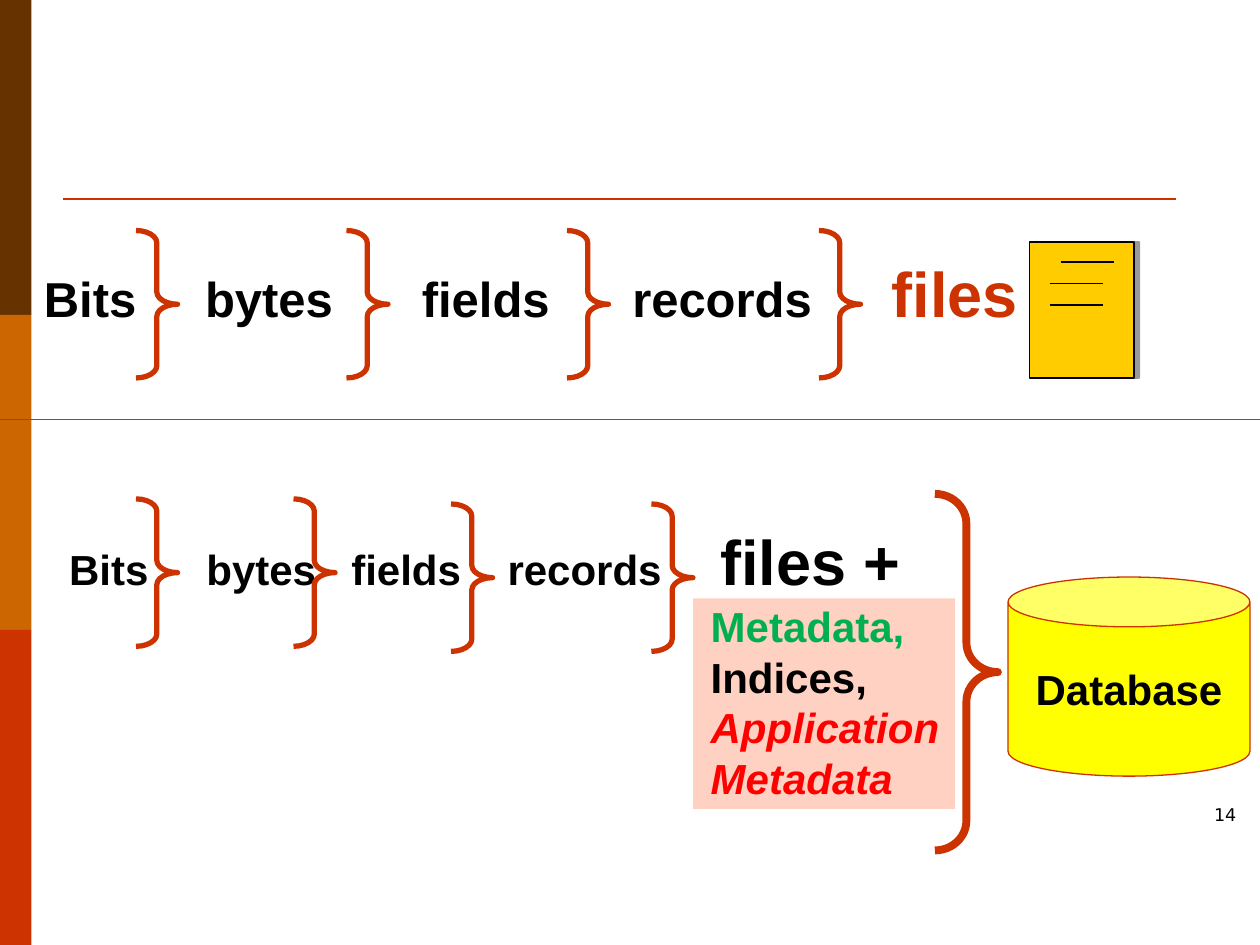
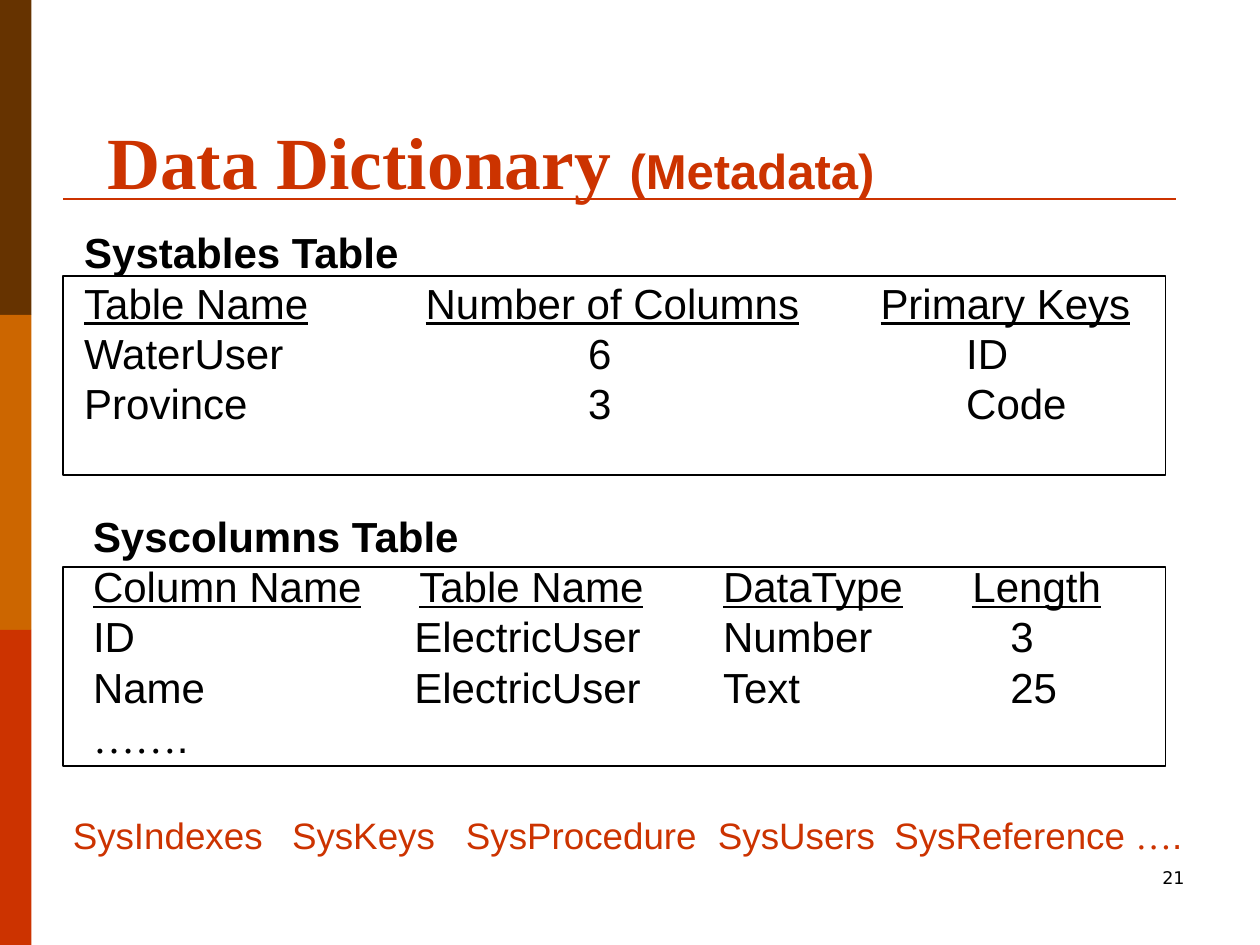
"""Builds two slides: the path from bits to a database, and the data dictionary."""
from lxml import etree
from pptx import Presentation
from pptx.dml.color import RGBColor
from pptx.enum.shapes import MSO_CONNECTOR, MSO_SHAPE
from pptx.enum.text import MSO_ANCHOR, MSO_AUTO_SIZE, PP_ALIGN
from pptx.oxml.ns import qn
from pptx.util import Inches, Pt

RECTANGLE, CAN, BRACE = MSO_SHAPE.RECTANGLE, MSO_SHAPE.CAN, MSO_SHAPE.RIGHT_BRACE
STRAIGHT = MSO_CONNECTOR.STRAIGHT
LEFT, CENTER, RIGHT = PP_ALIGN.LEFT, PP_ALIGN.CENTER, PP_ALIGN.RIGHT
TOP, MIDDLE, BOTTOM = MSO_ANCHOR.TOP, MSO_ANCHOR.MIDDLE, MSO_ANCHOR.BOTTOM
NO_AUTOFIT = MSO_AUTO_SIZE.NONE

BLACK = RGBColor(0x00, 0x00, 0x00)
BROWN = RGBColor(0x66, 0x33, 0x00)
ORANGE = RGBColor(0xCC, 0x66, 0x00)
RUST = RGBColor(0xCC, 0x33, 0x00)
PINK = RGBColor(0xFF, 0xD1, 0xC2)
YELLOW = RGBColor(0xFF, 0xFF, 0x00)
GOLD = RGBColor(0xFF, 0xCC, 0x00)
GREEN = RGBColor(0x00, 0xB0, 0x50)
RED = RGBColor(0xFF, 0x00, 0x00)

SANS, SERIF, NUMBER_FONT = "Arial", "Times New Roman", "DejaVu Sans"
WIDTH, HEIGHT = 10, 7.5
BANDS = [BROWN, ORANGE, RUST]


def style(size, color=BLACK, name=SANS, **flags):
    return dict(size=Pt(size), color=color, name=name, **flags)


BOLD = style(24, bold=True)
PLAIN = style(24)
HEADER = style(24, underline=True)
NOTE = style(21, RUST)
APPLICATION = style(24, RED, bold=True, italic=True)

CHAINS = [
    dict(at=(0.25, 1.97, 8.2, 0.7), stops=[1.28, 3, 4.67, 6.73],
         runs=[("Bits\tbytes\tfields\trecords\t", style(28, bold=True)),
               ("files", style(36, RUST, bold=True))],
         braces=[(1.08, 1.83), (2.75, 1.83), (4.5, 1.83), (6.5, 1.83)]),
    dict(at=(0.45, 4.1, 7.4, 0.7), stops=[1.09, 2.24, 3.48, 5.17],
         runs=[("Bits\tbytes\tfields\trecords\t", BOLD),
               ("files +", style(36, bold=True))],
         braces=[(1.08, 3.96), (2.33, 3.96), (3.58, 4), (5.17, 4)]),
]
EXTRAS = [("Metadata,", style(24, GREEN, bold=True)), ("Indices,", BOLD),
          ("Application", APPLICATION), ("Metadata", APPLICATION)]
NOTE_LINES = [(8.33, 2.25), (8.33, 2.42), (8.42, 2.08)]

TITLE = [("Data Dictionary ", style(42, RUST, SERIF, bold=True)),
         ("(Metadata)", style(28, RUST, bold=True))]
CATALOGS = [
    dict(at=(0.57, 1.75, 8.7, 1.7), frame_top=2.19,
         name="Systables Table",
         header="Table Name\tNumber of Columns\tPrimary Keys", header_stops=[2.71, 6.32],
         rows=["WaterUser\t6\tID", "Province\t3\tCode"], row_stops=[4, 7], rest=[]),
    dict(at=(0.64, 4, 8.6, 2.1), frame_top=4.5,
         name="Syscolumns Table",
         header="Column Name\tTable Name\tDataType\tLength", header_stops=[2.59, 5, 6.98],
         rows=["ID\tElectricUser\tNumber\t3", "Name\tElectricUser\tText\t25"],
         row_stops=[2.55, 5, 7.28],
         rest=[([("……", style(24, name=SERIF)), (".", PLAIN)], [])]),
]
OTHERS = [("SysIndexes\tSysKeys\tSysProcedure\tSysUsers\tSysReference ", NOTE),
          ("…", style(21, RUST, SERIF)), (".", NOTE)]
OTHER_STOPS = [1.74, 3.12, 5.12, 6.52]


def set_font(font, look):
    for key, value in look.items():
        if key == "color":
            font.color.rgb = value
        else:
            setattr(font, key, value)


def write(shape, lines, align=LEFT, anchor=TOP, wrap=True):
    frame = shape.text_frame
    frame.auto_size, frame.word_wrap = NO_AUTOFIT, wrap
    frame.vertical_anchor = anchor
    for index, (runs, stops) in enumerate(lines):
        para = frame.add_paragraph() if index else frame.paragraphs[0]
        para.alignment = align
        if stops:
            tabs = etree.Element(qn("a:tabLst"))
            for stop in stops:
                etree.SubElement(tabs, qn("a:tab"), pos=str(Inches(stop)), algn="l")
            para._p.get_or_add_pPr().insert(0, tabs)
        for text, look in runs:
            span = para.add_run()
            span.text = text
            set_font(para.font if len(runs) == 1 else span.font, look)


def add_text(page, at, lines, **options):
    box = page.shapes.add_textbox(*map(Inches, at))
    write(box, lines, **options)


def add_shape(page, kind, at, fill=None, line=None, weight=0.75):
    shape = page.shapes.add_shape(kind, *map(Inches, at))
    shape.shadow.inherit = False
    if fill is None:
        shape.fill.background()
    else:
        shape.fill.solid()
        shape.fill.fore_color.rgb = fill
    if line is None:
        shape.line.fill.background()
    else:
        shape.line.color.rgb = line
        shape.line.width = Pt(weight)
    return shape


def add_line(page, start, end, color, weight):
    line = page.shapes.add_connector(STRAIGHT, *map(Inches, start + end))
    line.line.color.rgb = color
    line.line.width = Pt(weight)
    etree.SubElement(line.element.spPr, qn("a:effectLst"))
    return line


def add_brace(page, left, top, width=0.33, height=1.17, weight=3):
    brace = add_shape(page, BRACE, (left, top, width, height), line=RUST, weight=weight)
    brace.adjustments[0] = height / 12 / width


def add_number(page, number, left, top, width):
    add_text(page, (left, top, width, 0.5),
             [([(number, style(10, name=NUMBER_FONT))], [])], align=RIGHT)


def decorate_master(deck, page):
    step = HEIGHT / len(BANDS)
    parts = [add_shape(page, RECTANGLE, (0, index * step, 0.25, step), color)
             for index, color in enumerate(BANDS)]
    parts.append(add_line(page, (0.5, 1.58), (9.33, 1.58), RUST, 1.5))
    tree = deck.slide_master.element.cSld.spTree
    for index, part in enumerate(parts):
        part.element.xpath(".//p:cNvPr")[0].set("id", str(100 + index))
        tree.append(part.element)


def add_note_icon(page):
    note = add_shape(page, RECTANGLE, (8.17, 1.92, 0.83, 1.08), GOLD, BLACK, 1)
    effects = note.element.spPr.find(qn("a:effectLst"))
    shadow = etree.SubElement(effects, qn("a:outerShdw"), blurRad="0",
                              dist=str(Pt(3)), dir="0", algn="ctr", rotWithShape="0")
    tint = etree.SubElement(shadow, qn("a:srgbClr"), val=str(BLACK))
    etree.SubElement(tint, qn("a:alpha"), val="40000")
    for left, top in NOTE_LINES:
        add_line(page, (left, top), (left + 0.42, top), BLACK, 1)


def build_hierarchy(page):
    extras = add_shape(page, RECTANGLE, (5.5, 4.75, 2.08, 1.67), PINK)
    extras.text_frame.margin_left = Inches(0.14)
    extras.text_frame.margin_top = Inches(0.02)
    write(extras, [([run], []) for run in EXTRAS], wrap=False)
    add_number(page, "14", 7.08, 6.33, 2.83)
    for chain in CHAINS:
        add_text(page, chain["at"], [(chain["runs"], chain["stops"])])
        for left, top in chain["braces"]:
            add_brace(page, left, top)
    add_brace(page, 7.42, 3.92, 0.5, 2.83, 4.5)
    database = add_shape(page, CAN, (8, 4.58, 1.92, 1.58), YELLOW, RUST)
    write(database, [([("Database", BOLD)], [])], align=CENTER, anchor=MIDDLE, wrap=False)
    add_line(page, (0, 3.33), (WIDTH, 3.33), RUST, 0.75)
    add_note_icon(page)


def build_dictionary(page):
    title = page.shapes.title
    title.left, title.top, title.width, title.height = map(Inches, (0.75, 0.42, 8.5, 1.25))
    write(title, [(TITLE, [])], anchor=BOTTOM)
    for catalog in CATALOGS:
        lines = [([(catalog["name"], BOLD)], []),
                 ([(catalog["header"], HEADER)], catalog["header_stops"])]
        lines += [([(row, PLAIN)], catalog["row_stops"]) for row in catalog["rows"]]
        add_text(page, catalog["at"], lines + catalog["rest"])
        add_shape(page, RECTANGLE, (0.5, catalog["frame_top"], 8.75, 1.58), line=BLACK)
    add_text(page, (0.48, 6.4, 9.4, 0.45), [(OTHERS, OTHER_STOPS)])
    add_number(page, "21", 7.17, 6.83, 2.33)


def main():
    deck = Presentation()
    deck.slide_width, deck.slide_height = Inches(WIDTH), Inches(HEIGHT)
    title_only, blank = deck.slide_layouts[5], deck.slide_layouts[6]
    hierarchy = deck.slides.add_slide(blank)
    decorate_master(deck, hierarchy)
    build_hierarchy(hierarchy)
    build_dictionary(deck.slides.add_slide(title_only))
    deck.save("out.pptx")


if __name__ == "__main__":
    main()
